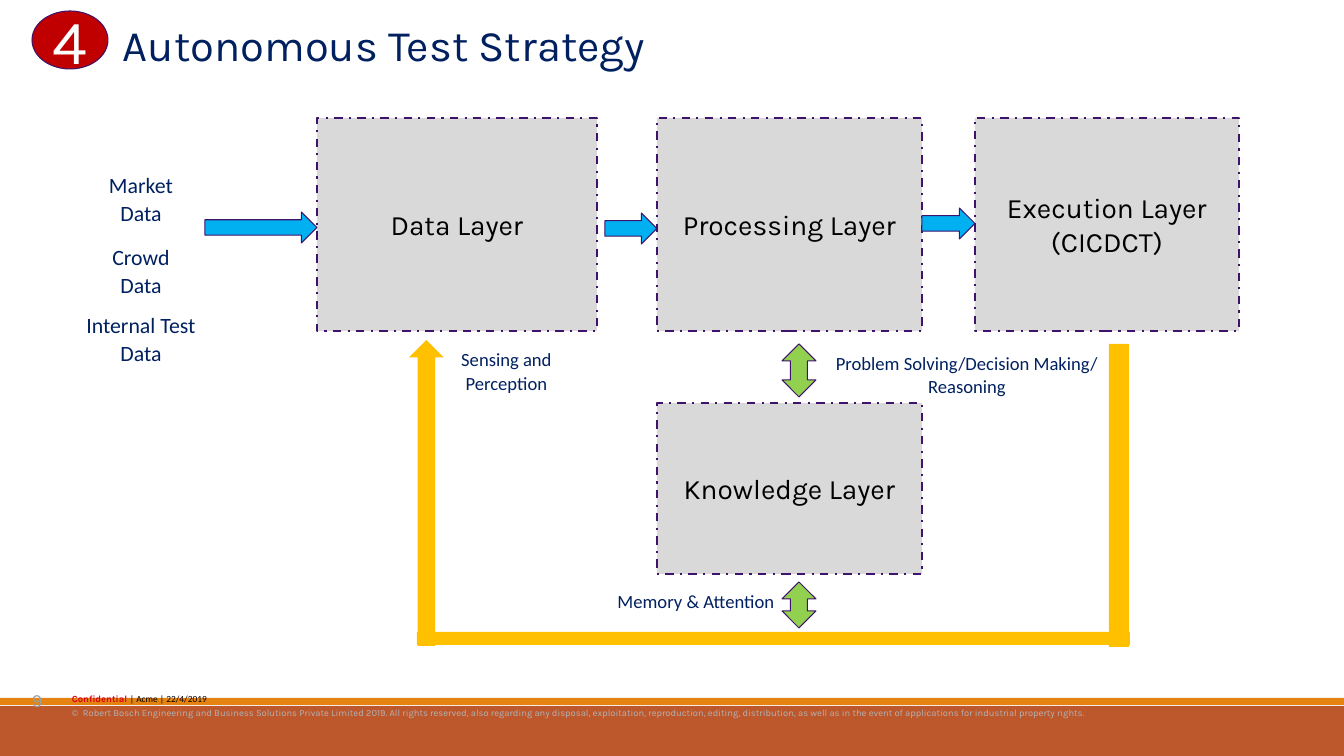
"""Build the Autonomous Test Strategy slide."""
from dataclasses import dataclass
from typing import Any

from pptx import Presentation
from pptx.dml.color import RGBColor
from pptx.enum.dml import MSO_LINE
from pptx.enum.shapes import MSO_SHAPE
from pptx.enum.text import MSO_ANCHOR, PP_ALIGN
from pptx.util import Emu, Pt

RECT, ELLIPSE = MSO_SHAPE.RECTANGLE, MSO_SHAPE.OVAL
RIGHT, UP, UP_DOWN = MSO_SHAPE.RIGHT_ARROW, MSO_SHAPE.UP_ARROW, MSO_SHAPE.UP_DOWN_ARROW
LEFT_ALIGN, CENTER = PP_ALIGN.LEFT, PP_ALIGN.CENTER
TOP, MIDDLE = MSO_ANCHOR.TOP, MSO_ANCHOR.MIDDLE
DASH_DOT = MSO_LINE.DASH_DOT
EMU_PER_PX = 914400 / 100.8


@dataclass(frozen=True)
class Theme:
    """Colours, fonts and type sizes of the slide."""
    navy: str = "002060"
    purple: str = "3F136C"
    black: str = "000000"
    white: str = "FFFFFF"
    panel: str = "D9D9D9"
    badge: str = "C00000"
    input_blue: str = "00B0F0"
    exchange_green: str = "92D050"
    feedback_amber: str = "FFC000"
    band: str = "BD582C"
    stripe: str = "E48312"
    alert: str = "D70012"
    legal: str = "B2B3B5"
    number: str = "999FA6"
    display: str = "Karla"
    body: str = "Calibri"
    badge_size: float = 44.5
    title_size: float = 31.1
    layer_size: float = 20
    source_size: float = 15.6
    note_size: float = 13.3
    footer_size: float = 6.7


THEME = Theme()


@dataclass(frozen=True)
class Span:
    """A run of text with its format."""
    text: str
    size: float
    color: str
    font: str = THEME.display
    bold: bool = False


@dataclass(frozen=True)
class Block:
    """A preset shape, placed in px."""
    kind: Any
    box: tuple[int, int, int, int]
    fill: str
    line: str | None = None
    weight: float = 0.75
    dash: Any = None
    lines: tuple[Span, ...] = ()


@dataclass(frozen=True)
class Label:
    """A text box, placed in px; each paragraph is a tuple of spans."""
    box: tuple[int, int, int, int]
    paragraphs: tuple[tuple[Span, ...], ...]
    align: Any = CENTER
    spacing: float = 1.07


def px(value: int) -> Emu:
    """Turn px into EMU."""
    return Emu(round(value * EMU_PER_PX))


def apply(target: Any, values: dict[str, Any]) -> None:
    """Set each attribute of the target from the values."""
    for name, value in values.items():
        setattr(target, name, value)


def write(frame: Any, paragraphs: tuple, align: Any, anchor: Any, spacing: float) -> None:
    """Fill a text frame with paragraphs of spans."""
    apply(frame, {"word_wrap": True, "vertical_anchor": anchor, "margin_left": 0,
                  "margin_right": 0, "margin_top": 0, "margin_bottom": 0})
    for index, spans in enumerate(paragraphs):
        para = frame.add_paragraph() if index else frame.paragraphs[0]
        apply(para, {"alignment": align, "line_spacing": spacing})
        for span in spans:
            run = para.add_run()
            run.text = span.text
            apply(run.font, {"name": span.font, "size": Pt(span.size), "bold": span.bold})
            run.font.color.rgb = RGBColor.from_string(span.color)


def draw_block(page: Any, block: Block) -> None:
    """Draw a preset shape with its centred text."""
    shape = page.shapes.add_shape(block.kind, *map(px, block.box))
    shape.shadow.inherit = False
    shape.fill.solid()
    shape.fill.fore_color.rgb = RGBColor.from_string(block.fill)
    if block.line:
        shape.line.color.rgb = RGBColor.from_string(block.line)
        apply(shape.line, {"width": Pt(block.weight), "dash_style": block.dash})
    else:
        shape.line.fill.background()
    if block.lines:
        write(shape.text_frame, tuple((span,) for span in block.lines), CENTER, MIDDLE, 1.0)


def draw_label(page: Any, label: Label) -> None:
    """Draw a text box."""
    box = page.shapes.add_textbox(*map(px, label.box))
    write(box.text_frame, label.paragraphs, label.align, TOP, label.spacing)


def layer(box: tuple[int, int, int, int], *texts: str) -> Block:
    """Describe a dashed layer panel."""
    lines = tuple(Span(text, THEME.layer_size, THEME.black) for text in texts)
    return Block(RECT, box, THEME.panel, THEME.purple, 1.5, DASH_DOT, lines)


def caption(box: tuple[int, int, int, int], size: float, *texts: str) -> Label:
    """Describe a centred navy caption."""
    return Label(box, tuple((Span(text, size, THEME.navy, THEME.body),) for text in texts))


FOOTER_BARS = (
    Block(RECT, (0, 706, 1344, 50), THEME.band),
    Block(RECT, (0, 698, 1344, 7), THEME.stripe),
)
FRAME_LABELS = (
    Label((72, 692, 1121, 13), ((
        Span("Confidential ", THEME.footer_size, THEME.alert, bold=True),
        Span("| Acme | 22/4/2019", THEME.footer_size, THEME.black, THEME.body)),), LEFT_ALIGN),
    Label((72, 706, 1121, 26), ((Span(
        "©  Robert Bosch Engineering and Business Solutions Private Limited 2019. "
        "All rights reserved, also regarding any disposal, exploitation, reproduction, "
        "editing, distribution, as well as in the event of applications for industrial "
        "property rights.", THEME.footer_size, THEME.legal),),), LEFT_ALIGN),
    Label((32, 689, 35, 50), ((Span("9", THEME.note_size, THEME.number),),), LEFT_ALIGN, 1.0),
    Label((123, 18, 1049, 56), ((
        Span("Autonomous Test Strategy", THEME.title_size, THEME.navy),),), LEFT_ALIGN, 1.0),
)
DIAGRAM = (
    Block(ELLIPSE, (32, 11, 76, 58), THEME.badge, THEME.purple,
          lines=(Span("4", THEME.badge_size, THEME.white),)),
    layer((317, 118, 280, 213), "Data Layer"),
    layer((657, 118, 265, 213), "Processing Layer"),
    layer((975, 118, 264, 213), "Execution Layer", "(CICDCT)"),
    layer((657, 403, 265, 171), "Knowledge Layer"),
    Block(UP_DOWN, (782, 344, 34, 53), THEME.exchange_green, THEME.purple),
    Block(UP_DOWN, (782, 582, 34, 46), THEME.exchange_green, THEME.purple),
    Block(RECT, (1109, 344, 20, 303), THEME.feedback_amber),
    Block(RECT, (417, 632, 713, 13), THEME.feedback_amber),
    Block(UP, (409, 340, 35, 306), THEME.feedback_amber),
    Block(RIGHT, (205, 212, 112, 31), THEME.input_blue, THEME.purple),
    Block(RIGHT, (605, 213, 52, 31), THEME.input_blue, THEME.purple),
    Block(RIGHT, (922, 208, 53, 31), THEME.input_blue, THEME.purple),
)
CAPTIONS = (
    caption((91, 170, 100, 57), THEME.source_size, "Market Data"),
    caption((86, 242, 110, 57), THEME.source_size, "Crowd", "Data"),
    caption((86, 310, 110, 57), THEME.source_size, "Internal Test", "Data"),
    caption((579, 588, 234, 36), THEME.note_size, "Memory & Attention"),
    caption((816, 350, 302, 43), THEME.note_size, "Problem Solving/Decision Making/ Reasoning"),
    caption((444, 346, 125, 26), THEME.note_size, "Sensing and Perception"),
)


def main() -> None:
    """Build and save the deck."""
    deck = Presentation()
    apply(deck, {"slide_width": px(1344), "slide_height": px(756)})
    page = deck.slides.add_slide(deck.slide_layouts[6])
    for block in FOOTER_BARS:
        draw_block(page, block)
    for label in FRAME_LABELS:
        draw_label(page, label)
    for block in DIAGRAM:
        draw_block(page, block)
    for label in CAPTIONS:
        draw_label(page, label)
    deck.save("out.pptx")


if __name__ == "__main__":
    main()
